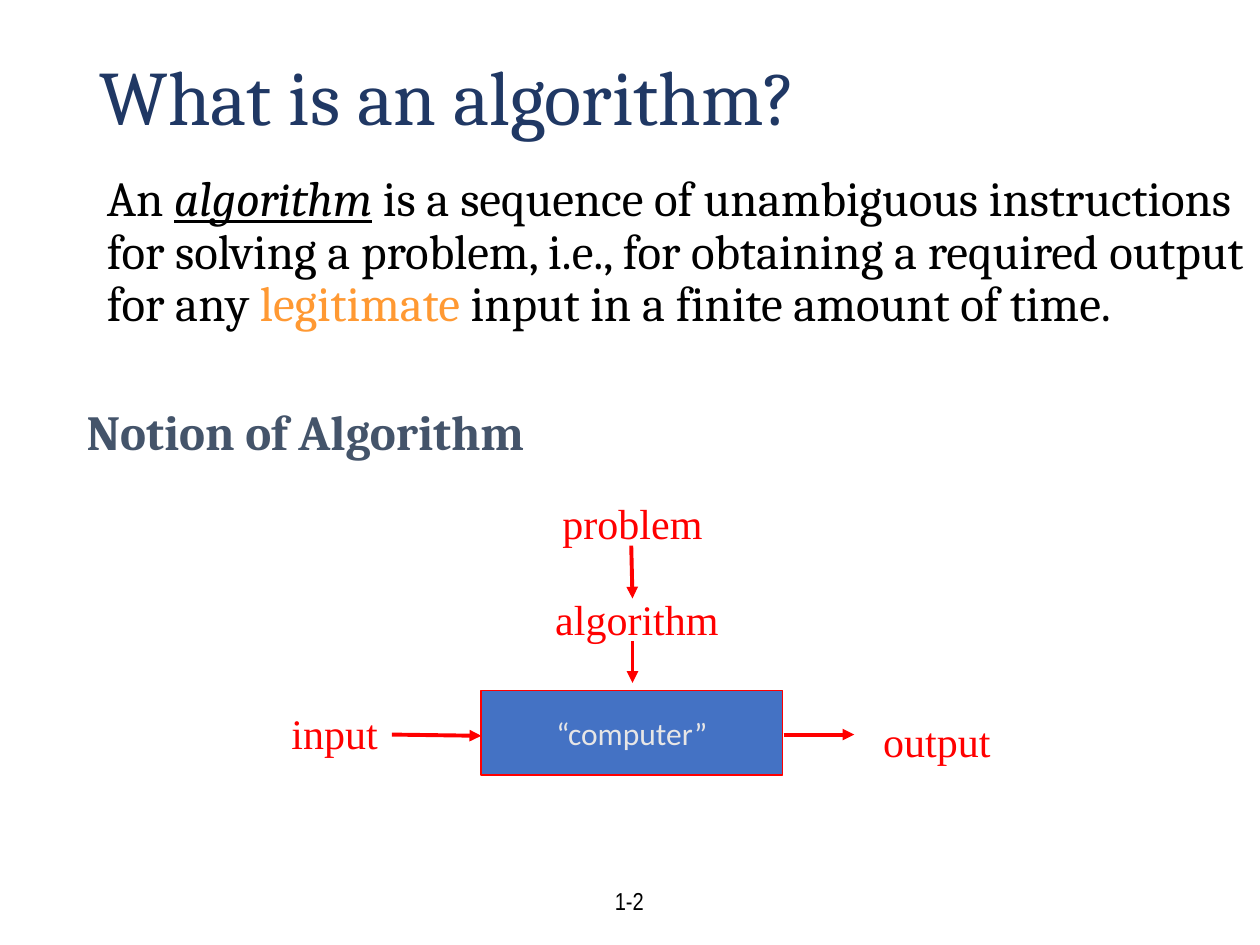
from dataclasses import dataclass

from lxml import etree
from pptx import Presentation
from pptx.dml.color import RGBColor
from pptx.enum.shapes import MSO_CONNECTOR, MSO_SHAPE
from pptx.enum.text import MSO_ANCHOR, MSO_AUTO_SIZE, PP_ALIGN
from pptx.oxml.ns import qn
from pptx.util import Pt

RECT = MSO_SHAPE.RECTANGLE
STRAIGHT = MSO_CONNECTOR.STRAIGHT
TOP, MIDDLE = MSO_ANCHOR.TOP, MSO_ANCHOR.MIDDLE
LEFT, CENTER = PP_ALIGN.LEFT, PP_ALIGN.CENTER
FIXED = MSO_AUTO_SIZE.NONE

NAVY = RGBColor(0x20, 0x38, 0x64)
SLATE = RGBColor(0x44, 0x54, 0x6A)
ORANGE = RGBColor(0xFF, 0x99, 0x33)
BLUE = RGBColor(0x44, 0x72, 0xC4)
PALE = RGBColor(0xE7, 0xE6, 0xE6)
RED = RGBColor(0xFF, 0x00, 0x00)
BLACK = RGBColor(0x00, 0x00, 0x00)

SCALE = 9144


@dataclass(frozen=True)
class Box:
    left: int
    top: int
    width: int
    height: int

    def emu(self) -> list[int]:
        return [n * SCALE for n in (self.left, self.top, self.width, self.height)]


@dataclass(frozen=True)
class Style:
    face: str
    size: int
    color: RGBColor
    bold: bool = False


@dataclass(frozen=True)
class Label:
    text: str
    box: Box
    style: Style
    anchor: MSO_ANCHOR = TOP


@dataclass(frozen=True)
class Arrow:
    x1: int
    y1: int
    x2: int
    y2: int


HEAD = Style("Cambria", 44, NAVY)
BODY = Style("Cambria", 28, BLACK)
TOPIC = Style("Cambria", 28, SLATE, True)
NODE = Style("Times New Roman", 24, RED)
CORE = Style("Calibri", 18, PALE)
FOOT = Style("Arial Narrow", 14, BLACK)

LABELS = [
    Label("problem", Box(432, 390, 140, 50), NODE),
    Label("algorithm", Box(431, 466, 149, 50), NODE),
    Label("input", Box(200, 557, 131, 50), NODE),
    Label("output", Box(678, 563, 131, 50), NODE),
    Label("1-2", Box(331, 695, 337, 40), FOOT, MIDDLE),
]
ARROWS = [
    Arrow(501, 433, 502, 475),
    Arrow(502, 509, 502, 542),
    Arrow(311, 583, 382, 584),
    Arrow(622, 583, 678, 583),
]
PARTS = [
    "An ",
    "algorithm",
    " is a sequence of unambiguous instructions for solving a problem, "
    "i.e., for obtaining a required output for any ",
    "legitimate",
    " input in a finite amount of time.",
]


def paint(run, style: Style) -> None:
    font = run.font
    font.name = style.face
    font.size = Pt(style.size)
    font.bold = style.bold
    font.color.rgb = style.color


def write(shape, text: str, style: Style, align: PP_ALIGN, anchor: MSO_ANCHOR) -> None:
    frame = shape.text_frame
    frame.text = text
    frame.word_wrap = False
    frame.auto_size = FIXED
    frame.vertical_anchor = anchor
    line = frame.paragraphs[0]
    line.alignment = align
    paint(line.runs[0], style)


def add_title(slide) -> None:
    title = slide.shapes.title
    title.left, title.top, title.width, title.height = Box(69, 34, 863, 91).emu()
    write(title, "What is an algorithm?", HEAD, LEFT, MIDDLE)
    title.text_frame.word_wrap = True
    title.text_frame.paragraphs[0].line_spacing = 0.9


def add_body(slide) -> None:
    frame = slide.shapes.add_textbox(*Box(50, 133, 950, 561).emu()).text_frame
    frame.word_wrap = True
    intro, topic = frame.paragraphs[0], frame.add_paragraph()
    for part in PARTS:
        run = intro.add_run()
        run.text = part
        paint(run, BODY)
    term, legal = intro.runs[1].font, intro.runs[3].font
    term.italic = term.underline = True
    legal.color.rgb = ORANGE
    topic.text = "Notion of Algorithm"
    topic.space_before = Pt(43)
    paint(topic.runs[0], TOPIC)
    for line, indent in ((intro, 25), (topic, 9)):
        line.line_spacing = 0.9
        line._p.get_or_add_pPr().set("marL", str(indent * SCALE))


def add_core(slide) -> None:
    core = slide.shapes.add_shape(RECT, *Box(382, 548, 239, 67).emu())
    core.shadow.inherit = False
    core.fill.solid()
    core.fill.fore_color.rgb = BLUE
    core.line.color.rgb = RED
    core.line.width = Pt(1)
    write(core, "“computer”", CORE, CENTER, MIDDLE)


def add_label(slide, label: Label) -> None:
    shape = slide.shapes.add_textbox(*label.box.emu())
    write(shape, label.text, label.style, CENTER, label.anchor)


def add_arrow(slide, arrow: Arrow) -> None:
    ends = [n * SCALE for n in (arrow.x1, arrow.y1, arrow.x2, arrow.y2)]
    link = slide.shapes.add_connector(STRAIGHT, *ends)
    link.line.color.rgb = RED
    link.line.width = Pt(2.25)
    etree.SubElement(link.line._get_or_add_ln(), qn("a:tailEnd"), type="triangle")
    etree.SubElement(link._element.spPr, qn("a:effectLst"))


def main() -> None:
    """Build the slide on the notion of an algorithm."""
    deck = Presentation()
    deck.slide_width, deck.slide_height = 1000 * SCALE, 750 * SCALE
    slide = deck.slides.add_slide(deck.slide_layouts[5])
    add_title(slide)
    add_body(slide)
    add_core(slide)
    for label in LABELS:
        add_label(slide, label)
    for arrow in ARROWS:
        add_arrow(slide, arrow)
    deck.save("out.pptx")


if __name__ == "__main__":
    main()
